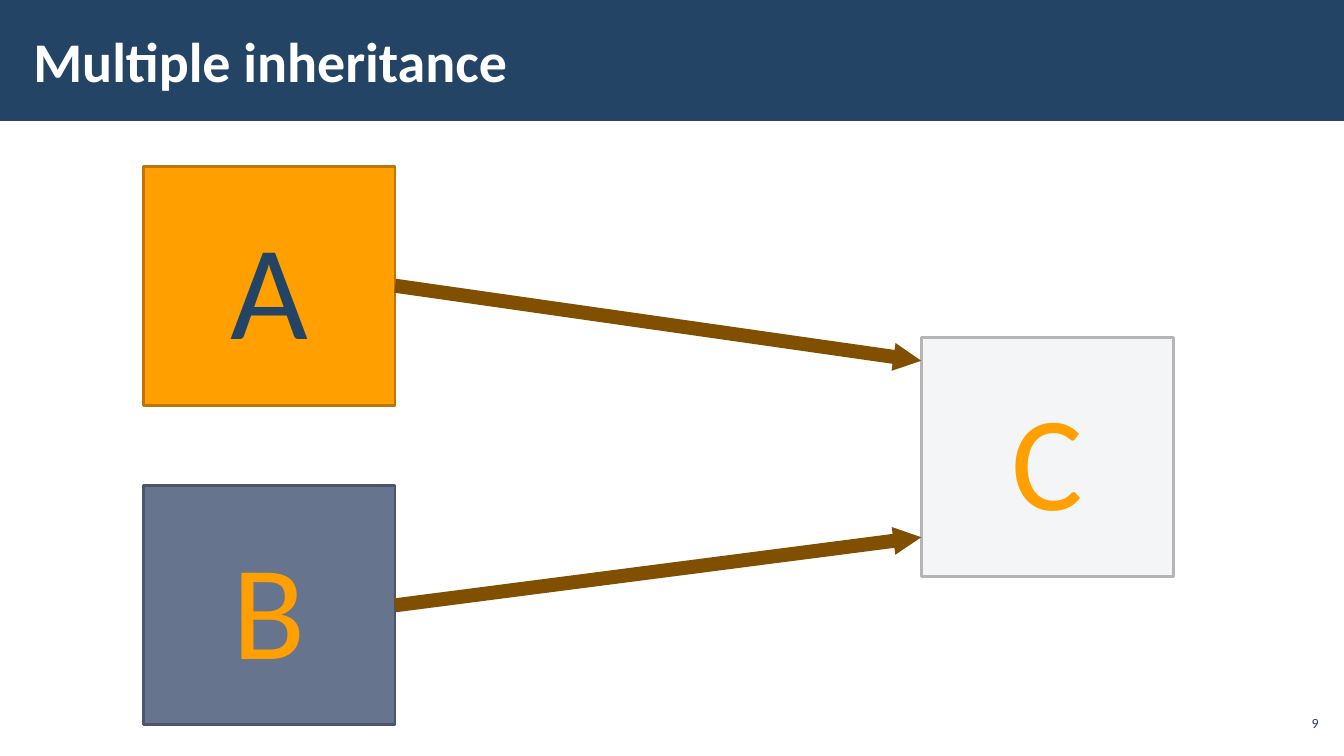
"""Build the multiple inheritance slide: parents A and B point to child C."""
import dataclasses

import pptx
import pptx.dml.color
import pptx.enum.shapes
import pptx.enum.text
import pptx.oxml
import pptx.util

TITLE = "Multiple inheritance"
PAGE = "9"
CHILD = ("C", 68.55, 44.67, "F4F5F7", "B5B5B7", "FFA000")
PARENTS = [
    ("A", 10.65, 22, "FFA000", "BD7600", "234465", 47.73),
    ("B", 10.65, 64.27, "67748E", "4C5669", "FFA000", 71.07),
]
BOX = (18.75, 31.6)
BAND = (0, 0, 100, 16)
HEAD = (1.58, 1.47, 78, 12.93)
FOOT = (94.88, 93.33, 3.53, 4.53)


@dataclasses.dataclass(frozen=True)
class Theme:
    """Colours, font and point sizes."""
    font: str = "Calibri"
    navy: str = "234465"
    white: str = "FFFFFF"
    brown: str = "805000"
    title: int = 40
    letter: int = 96
    page: int = 10
    edge: int = 2
    arrow: int = 10


LOOK = Theme()
ALIGN = pptx.enum.text.PP_ALIGN
RECT = pptx.enum.shapes.MSO_SHAPE.RECTANGLE
LINE = pptx.enum.shapes.MSO_CONNECTOR.STRAIGHT

deck = pptx.Presentation()
deck.slide_width = pptx.util.Inches(13.33)
deck.slide_height = pptx.util.Inches(7.5)
slide = deck.slides.add_slide(deck.slide_layouts[5])
shapes = slide.shapes


def across(share):
    """Turn a percent of the slide's width into a length."""
    return round(deck.slide_width * share / 100)


def down(share):
    """Turn a percent of the slide's height into a length."""
    return round(deck.slide_height * share / 100)


def place(area):
    """Turn left, top, width and height shares into lengths."""
    left, top, width, height = area
    return across(left), down(top), across(width), down(height)


def tint(code):
    """Read a hex colour."""
    return pptx.dml.color.RGBColor.from_string(code)


def write(shape, text, size, color, align, pads=(0.1, 0.05), bold=False):
    """Put one formatted run in a shape."""
    frame = shape.text_frame
    frame.word_wrap = True
    frame.auto_size = pptx.enum.text.MSO_AUTO_SIZE.NONE
    frame.vertical_anchor = pptx.enum.text.MSO_ANCHOR.MIDDLE
    frame.margin_left = frame.margin_right = pptx.util.Inches(pads[0])
    frame.margin_top = frame.margin_bottom = pptx.util.Inches(pads[1])
    para = frame.paragraphs[0]
    para.alignment = align
    run = para.add_run()
    run.text = text
    run.font.name = LOOK.font
    run.font.size = pptx.util.Pt(size)
    run.font.bold = bold
    run.font.color.rgb = tint(color)


def block(area, fill, edge=None):
    """Draw a flat rectangle."""
    shape = shapes.add_shape(RECT, *place(area))
    shape.shadow.inherit = False
    shape.fill.solid()
    shape.fill.fore_color.rgb = tint(fill)
    if edge:
        shape.line.color.rgb = tint(edge)
        shape.line.width = pptx.util.Pt(LOOK.edge)
    else:
        shape.line.fill.background()
    return shape


def node(name, left, top, fill, edge, color):
    """Draw one class box with its letter."""
    shape = block((left, top, *BOX), fill, edge)
    write(shape, name, LOOK.letter, color, ALIGN.CENTER)
    return shape


def link(start, left, top):
    """Draw an arrow from a box's right side to a point."""
    line = shapes.add_connector(LINE, 0, 0, across(left), down(top))
    line.begin_connect(start, 3)
    line.line.color.rgb = tint(LOOK.brown)
    line.line.width = pptx.util.Pt(LOOK.arrow)
    tip = pptx.oxml.parse_xml(
        '<a:tailEnd xmlns:a="http://schemas.openxmlformats.org/drawingml/2006/main"'
        ' type="triangle" w="sm" len="sm"/>')
    line.line._get_or_add_ln().append(tip)
    flat = pptx.oxml.parse_xml(
        '<a:effectLst xmlns:a="http://schemas.openxmlformats.org/drawingml/2006/main"/>')
    line._element.spPr.append(flat)


def main():
    """Lay out the slide and save it."""
    band = block(BAND, LOOK.navy)
    head = shapes.title
    head._element.addprevious(band._element)
    head.left, head.top, head.width, head.height = place(HEAD)
    write(head, TITLE, LOOK.title, LOOK.white, ALIGN.LEFT, (0.12, 0.04), True)
    foot = shapes.add_textbox(*place(FOOT))
    write(foot, PAGE, LOOK.page, LOOK.navy, ALIGN.RIGHT, (0.04, 0.04))
    node(*CHILD)
    for *parent, end in PARENTS:
        link(node(*parent), CHILD[1], end)
    deck.save("out.pptx")


if __name__ == "__main__":
    main()
